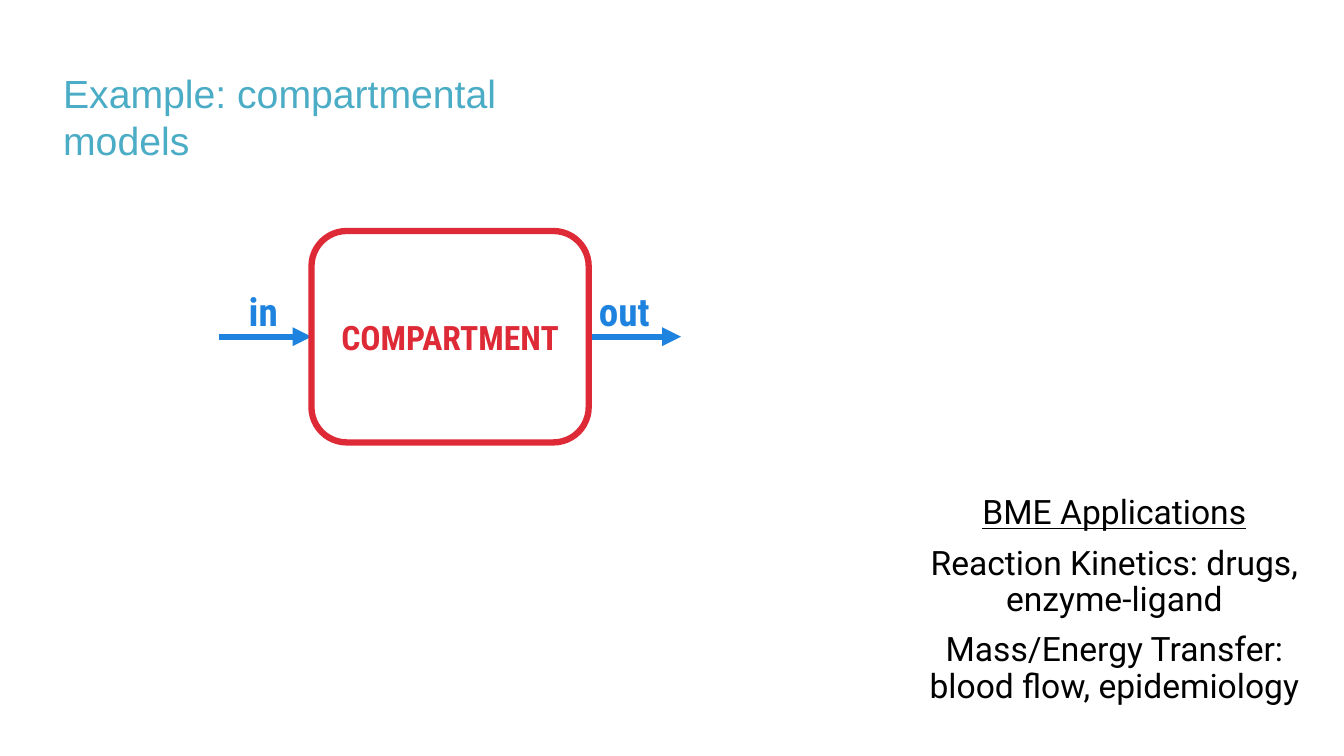
from lxml.etree import SubElement
from pptx import Presentation
from pptx.dml.color import RGBColor
from pptx.enum.shapes import MSO_CONNECTOR, MSO_SHAPE
from pptx.enum.text import MSO_ANCHOR, PP_ALIGN
from pptx.oxml.ns import qn
from pptx.util import Pt

BLUE = RGBColor(0x1E, 0x82, 0xDF)
RED = RGBColor(0xDE, 0x2A, 0x36)
TEAL = RGBColor(0x4B, 0xAC, 0xC6)
BLACK = RGBColor(0, 0, 0)
LEFT_SIDE, RIGHT_SIDE = 1, 3


def style(para, font_name, size, color, bold=False, align=PP_ALIGN.LEFT):
    para.alignment = align
    for span in para.runs:
        span.font.name = font_name
        span.font.size = Pt(size)
        span.font.color.rgb = color
        span.font.bold = bold


def add_label(page, text, left, top, width, height, wrap, *look):
    box = page.shapes.add_textbox(Pt(left), Pt(top), Pt(width), Pt(height))
    frame = box.text_frame
    frame.word_wrap = wrap
    frame.text = text
    for para in frame.paragraphs:
        style(para, *look)
    return frame


def add_arrow(page, start, end, y):
    arrow = page.shapes.add_connector(
        MSO_CONNECTOR.STRAIGHT, Pt(start), Pt(y), Pt(end), Pt(y))
    arrow.line.color.rgb = BLUE
    arrow.line.width = Pt(4.5)
    SubElement(arrow.line._get_or_add_ln(), qn("a:tailEnd"), type="triangle")
    SubElement(arrow._element.spPr, qn("a:effectLst"))
    return arrow


def add_title(page, left, top, width, height):
    add_label(page, "Example: compartmental models", left, top, width, height,
              True, "Arial", 28, TEAL)


def add_compartment(page, left, top, width, height):
    right = left + width
    middle = top + height / 2
    reach = 66
    inflow = add_arrow(page, left - reach, left, middle)
    outflow = add_arrow(page, right, right + reach, middle)

    compartment = page.shapes.add_shape(
        MSO_SHAPE.ROUNDED_RECTANGLE, Pt(left), Pt(top), Pt(width), Pt(height))
    compartment.shadow.inherit = False
    compartment.fill.background()
    compartment.line.color.rgb = RED
    compartment.line.width = Pt(4.5)
    frame = compartment.text_frame
    frame.text = "COMPARTMENT"
    frame.vertical_anchor = MSO_ANCHOR.MIDDLE
    style(frame.paragraphs[0], "Roboto Condensed", 24, RED, True, PP_ALIGN.CENTER)
    inflow.end_connect(compartment, LEFT_SIDE)
    outflow.begin_connect(compartment, RIGHT_SIDE)

    for text, label_left, label_width in (("in", left - 52, 35), ("out", right, 51)):
        add_label(page, text, label_left, middle - 39, label_width, 41, False,
                  "Roboto Condensed", 28, BLUE, True, PP_ALIGN.CENTER)


def add_applications(page, left, top, width, height):
    lines = ("BME Applications",
             "Reaction Kinetics: drugs, enzyme-ligand",
             "Mass/Energy Transfer: blood flow, epidemiology")
    frame = add_label(page, "\n".join(lines), left, top, width, height, True,
                      "Roboto", 24, BLACK, False, PP_ALIGN.CENTER)
    frame.vertical_anchor = MSO_ANCHOR.MIDDLE
    heading, *details = frame.paragraphs
    heading.line_spacing = 0.9
    heading.runs[0].font.underline = True
    for para in details:
        para.line_spacing = 0.9
        para.space_before = Pt(10)


def main():
    deck = Presentation()
    deck.slide_width = Pt(960)
    deck.slide_height = Pt(540)
    page = deck.slides.add_slide(deck.slide_layouts[6])
    add_compartment(page, 222.5, 165, 198, 151)
    add_applications(page, 651.5, 327, 289, 204)
    add_title(page, 38, 46, 397, 41)
    deck.save("out.pptx")


if __name__ == "__main__":
    main()
